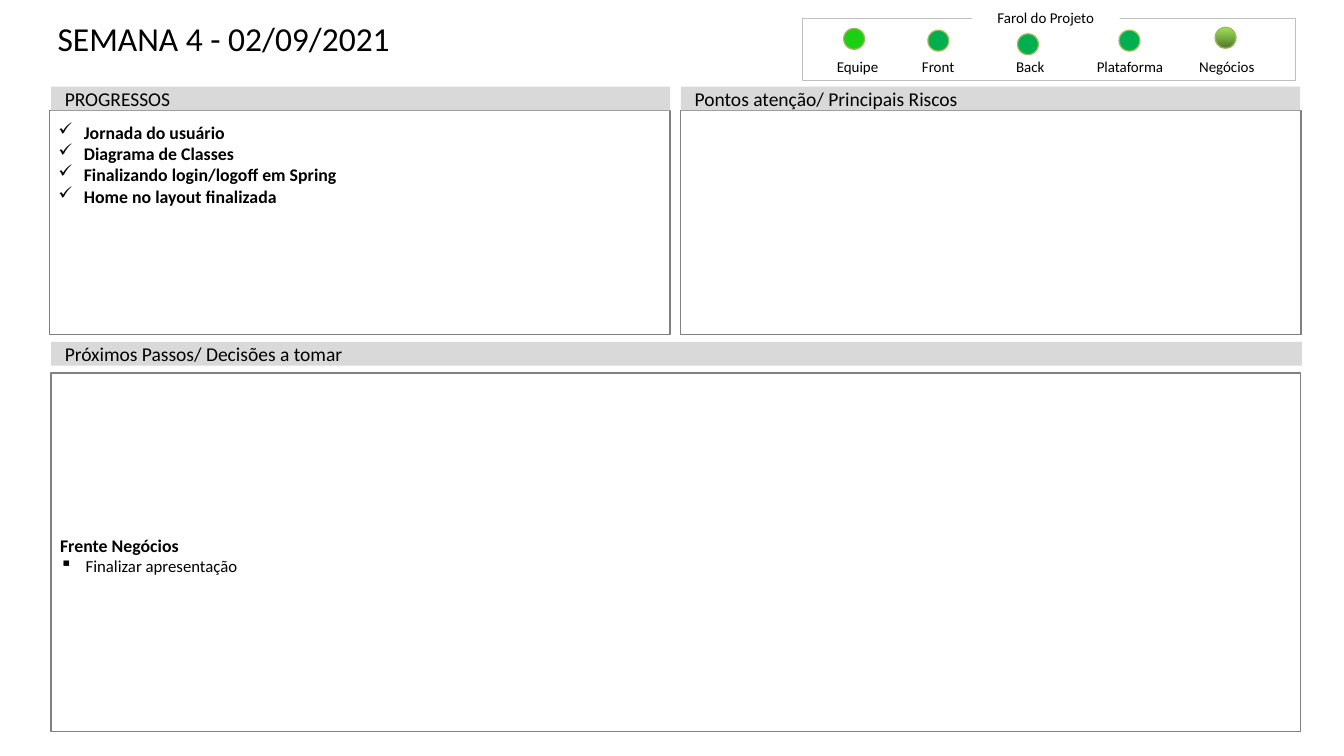
import pptx
import pptx.dml.color
import pptx.enum.shapes
import pptx.enum.text
import pptx.oxml.ns
import pptx.util
from lxml import etree
from pptx.util import Cm

ANCHOR = pptx.enum.text.MSO_ANCHOR
ALIGN = pptx.enum.text.PP_ALIGN
SHAPE = pptx.enum.shapes.MSO_SHAPE

COLORS = {
    "text": "000000",
    "band": "D9D9D9",
    "panel_line": "808080",
    "frame_line": "BFBFBF",
    "white": "FFFFFF",
    "light_line": "9BBB59",
    "bright_green": "1BCF13",
    "green": "00B050",
    "gradient_top": "9EE256",
    "gradient_bottom": "52762D",
}
LIGHT_SIZE = 0.58

# Label, label left, light left, light top, fill colours (cm)
LIGHTS = [
    ("Equipe", 22.58, 23.44, 0.79, ["bright_green"]),
    ("Front", 24.82, 25.78, 0.84, ["green"]),
    ("Back", 27.38, 28.27, 0.94, ["green"]),
    ("Plataforma", 30.15, 31.09, 0.84, ["green"]),
    ("Negócios", 32.84, 33.76, 0.76, ["gradient_top", "gradient_bottom"]),
]
PROGRESS = [
    "Jornada do usuário",
    "Diagrama de Classes",
    "Finalizando login/logoff em Spring",
    "Home no layout finalizada",
]


def rgb(name):
    return pptx.dml.color.RGBColor.from_string(COLORS[name])


def add_box(page, place, fill=None, line=None, weight=1, kind=SHAPE.RECTANGLE):
    box = page.shapes.add_shape(kind, *(Cm(length) for length in place))
    box.shadow.inherit = False
    if fill:
        box.fill.solid()
        box.fill.fore_color.rgb = rgb(fill)
    else:
        box.fill.background()
    if line:
        box.line.color.rgb = rgb(line)
        box.line.width = pptx.util.Pt(weight)
    else:
        box.line.fill.background()
    return box


def set_frame(box, insets, anchor, wrap=True):
    frame = box.text_frame
    frame.auto_size = pptx.enum.text.MSO_AUTO_SIZE.NONE
    frame.word_wrap = wrap
    frame.vertical_anchor = anchor
    (frame.margin_left, frame.margin_top,
     frame.margin_right, frame.margin_bottom) = (Cm(inset) for inset in insets)
    return frame


def write(para, text, size, bold=False, align=ALIGN.LEFT, bullet=None):
    para.text = text
    para.alignment = align
    if bullet:
        props = para._p.get_or_add_pPr()
        props.set("marL", str(Cm(0.71)))
        props.set("indent", str(-Cm(0.71)))
        mark = etree.SubElement(props, pptx.oxml.ns.qn("a:buChar"))
        mark.set("char", bullet)
    font = para.font
    font.name = "Calibri"
    font.size = pptx.util.Pt(size)
    font.bold = bold
    font.color.rgb = rgb("text")


def add_title(page, text):
    title = page.shapes.title
    title.left, title.top = Cm(1.3), Cm(0.51)
    title.width, title.height = Cm(33.6), Cm(2.24)
    frame = set_frame(title, (0.3, 0, 0.3, 0), ANCHOR.TOP)
    write(frame.paragraphs[0], text, 26.4)


def add_header(page, left, top, width, text):
    box = add_box(page, (left, top, width, 0.66), fill="band")
    frame = set_frame(box, (0.38, 0.18, 0.38, 0.18), ANCHOR.MIDDLE)
    write(frame.paragraphs[0], text, 15.4)


def add_panel(page, place, anchor=ANCHOR.TOP):
    box = add_box(page, place, line="panel_line")
    return set_frame(box, (0.25, 0.3, 0.25, 0.13), anchor)


def add_caption(box, text):
    frame = set_frame(box, (0.15, 0.15, 0.15, 0), ANCHOR.BOTTOM, wrap=False)
    write(frame.paragraphs[0], text, 11.8, align=ALIGN.CENTER)


def add_light(page, label, label_left, left, top, fills):
    label_box = page.shapes.add_textbox(Cm(label_left), Cm(1.6), Cm(2.49), Cm(0.51))
    add_caption(label_box, label)
    light = add_box(page, (left, top, LIGHT_SIZE, LIGHT_SIZE), fill=fills[0],
                    line="light_line", kind=SHAPE.OVAL)
    if len(fills) > 1:
        light.fill.gradient()
        light.fill.gradient_angle = 270
        for stop, name in zip(light.fill.gradient_stops, fills):
            stop.color.rgb = rgb(name)


def main():
    deck = pptx.Presentation()
    deck.slide_width, deck.slide_height = Cm(37.34), Cm(21)
    page = deck.slides.add_slide(deck.slide_layouts[5])
    add_title(page, "SEMANA 4 - 02/09/2021")

    # Progress and risks
    progress = add_panel(page, (1.37, 3.07, 17.25, 6.22))
    for index, text in enumerate(PROGRESS):
        para = progress.add_paragraph() if index else progress.paragraphs[0]
        write(para, text, 14, bold=True, bullet="✓")
    add_panel(page, (18.9, 3.07, 17.25, 6.22))
    add_header(page, 1.42, 2.41, 17.2, "PROGRESSOS")
    add_header(page, 18.92, 2.41, 17.2, "Pontos atenção/ Principais Riscos")

    # Next steps
    add_header(page, 1.42, 9.5, 34.75, "Próximos Passos/ Decisões a tomar")
    steps = add_panel(page, (1.42, 10.36, 34.72, 9.96), ANCHOR.MIDDLE)
    write(steps.paragraphs[0], "Frente Negócios", 14, bold=True)
    write(steps.add_paragraph(), "Finalizar apresentação", 13.2, bullet="▪")

    # Project status lights
    add_box(page, (22.28, 0.51, 13.72, 1.73), line="frame_line", weight=0.5)
    add_caption(add_box(page, (27, 0.15, 4.11, 0.58), fill="white"), "Farol do Projeto")
    for light in LIGHTS:
        add_light(page, *light)

    deck.save("out.pptx")


if __name__ == "__main__":
    main()
